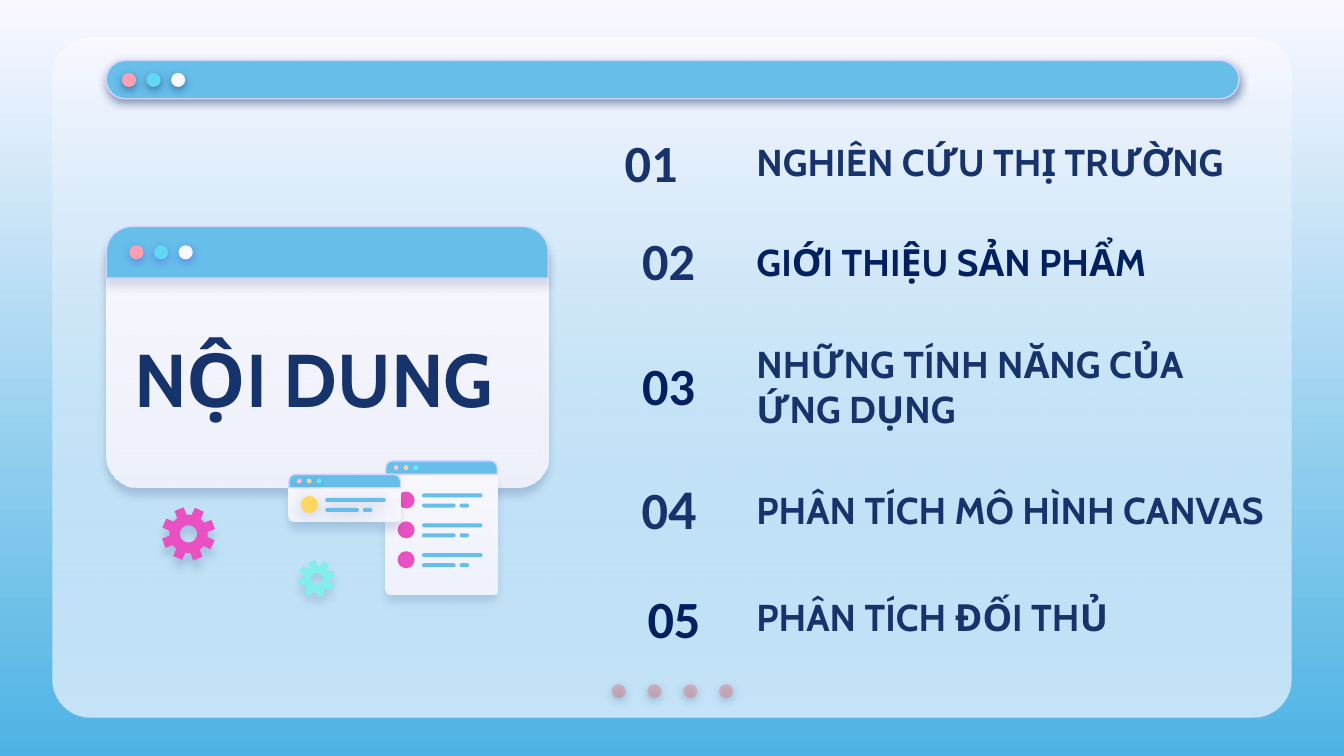
import math
from typing import NamedTuple, Optional

from lxml import etree
from pptx import Presentation
from pptx.dml.color import RGBColor
from pptx.enum.shapes import MSO_SHAPE
from pptx.enum.text import MSO_ANCHOR, PP_ALIGN
from pptx.oxml.ns import qn
from pptx.util import Inches, Pt

ROUND, ELLIPSE = MSO_SHAPE.ROUNDED_RECTANGLE, MSO_SHAPE.OVAL
TWO_ROUND = MSO_SHAPE.ROUND_2_SAME_RECTANGLE
LEFT, RIGHT, MIDDLE = PP_ALIGN.LEFT, PP_ALIGN.RIGHT, MSO_ANCHOR.MIDDLE

# The slide is a grid of square cells, 100 columns by 56.25 rows
COLUMNS, ROWS = 100, 56.25
CELL = Inches(10) // COLUMNS

NAVY, DEEP_NAVY, SKY, PALE, LILAC = "17336B", "002060", "66BEE9", "F9F8FF", "D2D6FF"
PINK, AQUA, MAGENTA, YELLOW, MINT = "FDA0B4", "60D8F4", "E951C2", "FFD65F", "81EEEB"
WINDOW_BUTTONS = (PINK, AQUA, PALE)
CARD_BUTTONS = ("FFC3D0", "F5D79B", "6AEBE7")


class Box(NamedTuple):
    left: float
    top: float
    width: float
    height: float


class Shadow(NamedTuple):
    colour: str
    alpha: int
    blur: float
    distance: float


class Fade(NamedTuple):
    top: str
    bottom: str
    bottom_alpha: int = 100


class Style(NamedTuple):
    fill: object
    line: Optional[str] = None
    shadow: Optional[Shadow] = None
    alpha: int = 100


class Topic(NamedTuple):
    title: str
    title_box: Box
    title_colour: str
    number: tuple  # (text, size) runs
    number_box: Box
    number_colour: str


class Card(NamedTuple):
    left: float
    top: float
    body_height: float
    corner: float
    first_row: float
    rows: int
    dot_colour: str
    body_shadow: Shadow
    button_shadow: Optional[Shadow] = None
    row_shadow: Optional[Shadow] = None


DOT_SHADOW = Shadow(NAVY, 50, 4.5, 1.5)
SHEET = Fade(PALE, PALE, 87)

TOPICS = [
    Topic("NGHIÊN CỨU THỊ TRƯỜNG", Box(55.3, 10, 38.2, 4), NAVY,
          (("01", 28),), Box(44.1, 7.2, 7.3, 9.6), NAVY),
    Topic("GIỚI THIỆU SẢN PHẨM", Box(55.3, 17.3, 38.2, 4.4), DEEP_NAVY,
          (("02", 28),), Box(44, 15.6, 8.7, 7.4), NAVY),
    Topic("NHỮNG TÍNH NĂNG CỦA ỨNG DỤNG", Box(55.3, 26.7, 38.2, 4), NAVY,
          (("03", 28),), Box(43.4, 23.9, 9.3, 9.5), DEEP_NAVY),
    Topic("PHÂN TÍCH MÔ HÌNH CANVAS", Box(55.3, 35.9, 41.1, 4), NAVY,
          (("0", 28), ("4", 30)), Box(44.4, 33, 8.4, 9.5), NAVY),
    Topic("PHÂN TÍCH ĐỐI THỦ", Box(55.3, 43.9, 38.2, 4), NAVY,
          (("05", 28),), Box(44.4, 43.1, 8.7, 5.7), DEEP_NAVY),
]

CARDS = [
    Card(28.7, 34.3, 8.9, 0.06, 2.27, 3, MAGENTA, Shadow(NAVY, 15, 4.5, 4.5)),
    Card(21.5, 35.3, 2.5, 0.2, 1.6, 1, YELLOW, Shadow(NAVY, 16, 4.5, 4.5),
         Shadow(NAVY, 17, 4.5, 2.2), Shadow(NAVY, 18, 6.8, 1.5)),
]


def cells(value: float) -> int:
    return round(value * CELL)


def rgb(colour: str) -> RGBColor:
    return RGBColor.from_string(colour)


def set_alpha(colour_element, percent: int) -> None:
    if percent < 100:
        etree.SubElement(colour_element, qn("a:alpha")).set("val", str(percent * 1000))


def fade_fill(fill, fade: Fade) -> None:
    fill.gradient()
    fill.gradient_angle = 270
    for stop, colour in zip(fill.gradient_stops, (fade.top, fade.bottom)):
        stop.color.rgb = rgb(colour)


def apply_style(shape, style: Style) -> None:
    alpha = style.alpha
    if isinstance(style.fill, Fade):
        fade_fill(shape.fill, style.fill)
        alpha = style.fill.bottom_alpha
    else:
        shape.fill.solid()
        shape.fill.fore_color.rgb = rgb(style.fill)
    properties = shape._element.spPr
    set_alpha(list(properties.iter(qn("a:srgbClr")))[-1], alpha)
    if style.line:
        shape.line.color.rgb = rgb(style.line)
        shape.line.width = Pt(0.75)
    else:
        shape.line.fill.background()
    shape.shadow.inherit = False
    if style.shadow:
        outer = etree.SubElement(properties.find(qn("a:effectLst")), qn("a:outerShdw"))
        values = {"blurRad": Pt(style.shadow.blur), "dist": Pt(style.shadow.distance),
                  "dir": 90 * 60000, "algn": "bl", "rotWithShape": 0}
        for key, value in values.items():
            outer.set(key, str(value))
        tint = etree.SubElement(outer, qn("a:srgbClr"), val=style.shadow.colour)
        set_alpha(tint, style.shadow.alpha)


def draw(slide, preset, box: Box, style: Style, *corners: float) -> None:
    shape = slide.shapes.add_shape(preset, *map(cells, box))
    for index, corner in enumerate(corners):
        shape.adjustments[index] = corner
    apply_style(shape, style)


def draw_dots(slide, left: float, top: float, step: float, size: float, styles) -> None:
    for index, style in enumerate(styles):
        draw(slide, ELLIPSE, Box(left + index * step, top, size, size), style)


def draw_text(slide, box: Box, runs, font: str, colour: str, align=LEFT) -> None:
    frame = slide.shapes.add_textbox(*map(cells, box)).text_frame
    layout = {"word_wrap": True, "vertical_anchor": MIDDLE, "margin_left": CELL,
              "margin_right": CELL, "margin_top": 0, "margin_bottom": 0}
    for key, value in layout.items():
        setattr(frame, key, value)
    paragraph = frame.paragraphs[0]
    paragraph.alignment = align
    for text, size in runs:
        run = paragraph.add_run()
        run.text = text
        for key, value in {"name": font, "size": Pt(size), "bold": True}.items():
            setattr(run.font, key, value)
        run.font.color.rgb = rgb(colour)


def draw_card(slide, card: Card) -> None:
    left, top, width, head = card.left, card.top, 8.3, 1
    draw(slide, TWO_ROUND, Box(left, top + head, width, card.body_height),
         Style(SHEET, shadow=card.body_shadow), 0, card.corner)
    draw(slide, TWO_ROUND, Box(left, top, width, head), Style(SKY, LILAC), 0.5, 0)
    draw_dots(slide, left + 0.6, top + 0.32, 0.73, 0.35,
              [Style(colour, shadow=card.button_shadow) for colour in CARD_BUTTONS])
    for row in range(card.rows):
        row_top = top + card.first_row + row * 2.22
        draw(slide, ELLIPSE, Box(left + 0.88, row_top, 1.27, 1.27),
             Style(card.dot_colour, shadow=card.row_shadow))
        for offset, drop, length in ((2.7, 0.15, 4.5), (2.7, 0.9, 2.5), (5.5, 0.9, 0.7)):
            draw(slide, ROUND, Box(left + offset, row_top + drop, length, 0.3),
                 Style(SKY, shadow=card.row_shadow), 0.5)


def draw_gear(slide, x: float, y: float, radius: float, tilt: float, style: Style) -> None:
    def point(share: float, degrees: float) -> tuple:
        angle = math.radians(degrees)
        return (cells(x + share * radius * math.cos(angle)),
                cells(y + share * radius * math.sin(angle)))

    tooth = ((0.72, -15), (1, -10.5), (1, 10.5), (0.72, 15))
    rim = [point(share, tilt + 45 * step + turn) for step in range(8) for share, turn in tooth]
    hole = [point(0.32, -10 * step) for step in range(36)]
    builder = slide.shapes.build_freeform(*rim[0], scale=1.0)
    builder.add_line_segments(rim[1:], close=True)
    builder.move_to(*hole[0])
    builder.add_line_segments(hole[1:], close=True)
    apply_style(builder.convert_to_shape(), style)


def main() -> None:
    deck = Presentation()
    deck.slide_width, deck.slide_height = cells(COLUMNS), cells(ROWS)
    slide = deck.slides.add_slide(deck.slide_layouts[6])

    # Backdrop: panel, page dots and address bar
    fade_fill(slide.background.fill, Fade(PALE, "4EB3E4"))
    for fill in (PALE, Fade(PALE, SKY, 35)):
        draw(slide, ROUND, Box(3.9, 2.8, 92.2, 50.6), Style(fill), 0.056)
    draw_dots(slide, 45.5, 50.9, 2.67, 1.05, [Style("E27B83", shadow=DOT_SHADOW, alpha=44)] * 4)
    draw(slide, ROUND, Box(7.9, 4.5, 84.3, 2.85), Style(SKY, LILAC, DOT_SHADOW), 0.5)
    draw_dots(slide, 9.07, 5.42, 1.83, 1.05,
              [Style(colour, shadow=DOT_SHADOW) for colour in WINDOW_BUTTONS])

    # Title window
    draw(slide, ROUND, Box(7.9, 16.85, 32.9, 19.45),
         Style(SHEET, shadow=Shadow(NAVY, 22, 4.5, 3.8)), 0.124)
    draw(slide, TWO_ROUND, Box(7.9, 16.85, 32.9, 3.85),
         Style(SKY, LILAC, Shadow(NAVY, 15, 4.5, 3.8)), 0.5, 0)
    draw_dots(slide, 9.63, 18.25, 1.83, 1.05,
              [Style(colour, shadow=Shadow("5352EE", 50, 4.5, 1.5)) for colour in WINDOW_BUTTONS])
    draw_text(slide, Box(9, 22.3, 31, 11.6), [("NỘI DUNG", 40)], "Cabin", NAVY)

    # Numbered topics
    for topic in TOPICS:
        draw_text(slide, topic.title_box, [(topic.title, 20)], "Cabin", topic.title_colour)
        draw_text(slide, topic.number_box, topic.number, "Calibri", topic.number_colour, RIGHT)

    # Small cards and gears
    for card in CARDS:
        draw_card(slide, card)
    draw_gear(slide, 14.03, 39.73, 2, -110.7, Style(MAGENTA, shadow=Shadow(NAVY, 16, 4.5, 4.5)))
    draw_gear(slide, 23.57, 43.06, 1.38, -103.7, Style(MINT, shadow=Shadow(NAVY, 15, 4.5, 3.8)))

    deck.save("out.pptx")


if __name__ == "__main__":
    main()
